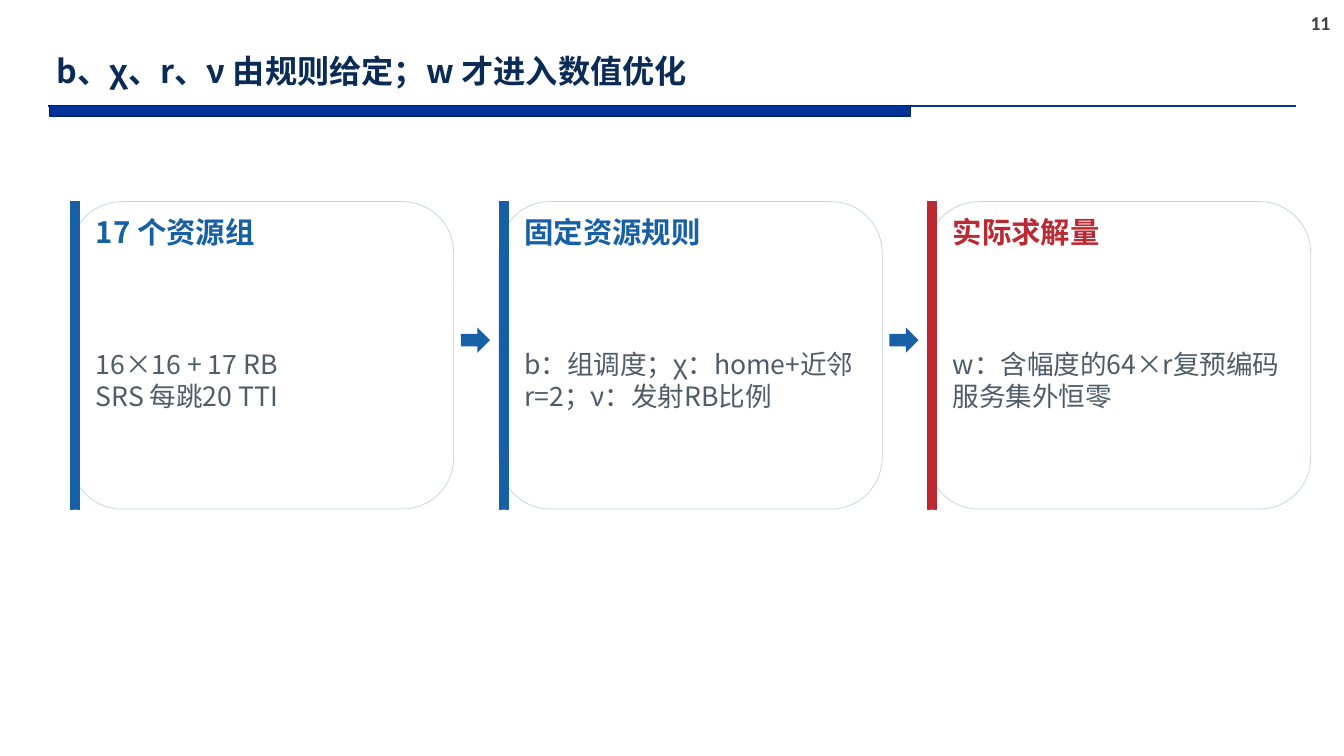
from lxml import etree
from pptx import Presentation
from pptx.dml.color import RGBColor
from pptx.enum.shapes import MSO_CONNECTOR, MSO_SHAPE
from pptx.enum.text import MSO_ANCHOR, PP_ALIGN
from pptx.oxml.ns import qn
from pptx.util import Inches, Pt

RECT, ROUNDED, ARROW = MSO_SHAPE.RECTANGLE, MSO_SHAPE.ROUNDED_RECTANGLE, MSO_SHAPE.RIGHT_ARROW
STRAIGHT = MSO_CONNECTOR.STRAIGHT
MIDDLE, TOP = MSO_ANCHOR.MIDDLE, MSO_ANCHOR.TOP
LEFT = PP_ALIGN.LEFT

WHITE = RGBColor(0xFF, 0xFF, 0xFF)
NAVY = RGBColor(0x09, 0x2B, 0x56)
RULE_BLUE = RGBColor(0x00, 0x33, 0x99)
RULE_EDGE = RGBColor(0x00, 0x26, 0x71)
BLUE = RGBColor(0x18, 0x60, 0xA6)
RED = RGBColor(0xBB, 0x2A, 0x33)
CARD_EDGE = RGBColor(0xC2, 0xD3, 0xE1)
BODY_GREY = RGBColor(0x4F, 0x5B, 0x69)
NUMBER_GREY = RGBColor(0x40, 0x40, 0x40)

CJK = "Noto Sans CJK SC"
TITLE = "b、χ、r、ν 由规则给定；w 才进入数值优化"
PAGE_NUMBER = "11"
CARDS = [
    ("17 个资源组", ["16×16 + 17 RB", "SRS 每跳20 TTI"], BLUE),
    ("固定资源规则", ["b：组调度；χ：home+近邻", "r=2；ν：发射RB比例"], BLUE),
    ("实际求解量", ["w：含幅度的64×r复预编码", "服务集外恒零"], RED),
]

TITLE_FORMAT = {"size": Pt(23), "bold": True, "name": CJK}
HEADING_FORMAT = {"size": Pt(21), "bold": True, "name": CJK}
BODY_FORMAT = {"size": Pt(19), "bold": False, "name": CJK}
NUMBER_FORMAT = {"size": Pt(14), "bold": True, "name": "Calibri"}

CARD_LEFT, CARD_TOP, CARD_WIDTH, CARD_HEIGHT = 0.7, 2, 3.8, 3.05
CARD_STEP = 4.25
STRIPE_WIDTH = 0.09
TEXT_INDENT = 0.2
ARROW_GAP, ARROW_TOP, ARROW_WIDTH, ARROW_HEIGHT = 0.07, 3.25, 0.29, 0.25


def box(*lengths):
    return [Inches(length) for length in lengths]


def add_block(slide, kind, place, fill, edge=None, weight=0.5):
    block = slide.shapes.add_shape(kind, *box(*place))
    block.shadow.inherit = False
    block.fill.solid()
    block.fill.fore_color.rgb = fill
    if edge is None:
        block.line.fill.background()
    else:
        block.line.color.rgb = edge
        block.line.width = Pt(weight)


def write(frame, lines, font_format, color, anchor=MIDDLE, inset=None, wrap=True):
    frame.word_wrap = wrap
    frame.vertical_anchor = anchor
    if inset is not None:
        for side in ("left", "right", "top", "bottom"):
            setattr(frame, f"margin_{side}", Inches(inset))
    for index, line in enumerate(lines):
        paragraph = frame.add_paragraph() if index else frame.paragraphs[0]
        paragraph.alignment = LEFT
        run = paragraph.add_run()
        run.text = line
        for attribute, value in font_format.items():
            setattr(run.font, attribute, value)
        run.font.color.rgb = color
        east_asian = etree.SubElement(run.font._element, qn("a:ea"))
        east_asian.set("typeface", font_format["name"])


def add_text(slide, place, *args, **kwargs):
    write(slide.shapes.add_textbox(*box(*place)).text_frame, *args, **kwargs)


def add_header(slide):
    rule = slide.shapes.add_connector(STRAIGHT, *box(0.48, 1.05, 12.85, 1.05))
    rule.line.color.rgb = RULE_BLUE
    rule.line.width = Pt(1.5)
    etree.SubElement(rule._element.spPr, qn("a:effectLst"))
    add_block(slide, RECT, (0.49, 1.05, 8.54, 0.1), RULE_BLUE, RULE_EDGE, 1)
    add_text(slide, (12.9, 0.06, 0.4, 0.34), [PAGE_NUMBER], NUMBER_FORMAT,
             NUMBER_GREY, anchor=TOP, wrap=False)

    title = slide.shapes.title
    title.left, title.top, title.width, title.height = box(0.46, 0.4, 9.45, 0.65)
    write(title.text_frame, [TITLE], TITLE_FORMAT, NAVY)
    title.text_frame.paragraphs[0].line_spacing = 0.9


def add_card(slide, left, heading, body, accent):
    add_block(slide, ROUNDED, (left, CARD_TOP, CARD_WIDTH, CARD_HEIGHT), WHITE, CARD_EDGE)
    add_block(slide, RECT, (left, CARD_TOP, STRIPE_WIDTH, CARD_HEIGHT), accent, accent)
    text_left = left + TEXT_INDENT
    add_text(slide, (text_left, CARD_TOP + 0.11, 3.46, 0.37), [heading],
             HEADING_FORMAT, accent, inset=0.05)
    add_text(slide, (text_left, CARD_TOP + 0.59, 3.45, 2.36), body,
             BODY_FORMAT, BODY_GREY, inset=0.05)


def main():
    deck = Presentation()
    deck.slide_width, deck.slide_height = box(13.33, 7.5)
    slide = deck.slides.add_slide(deck.slide_layouts[5])
    add_header(slide)
    for index, (heading, body, accent) in enumerate(CARDS):
        left = CARD_LEFT + index * CARD_STEP
        add_card(slide, left, heading, body, accent)
        if index < len(CARDS) - 1:
            arrow_left = left + CARD_WIDTH + ARROW_GAP
            add_block(slide, ARROW, (arrow_left, ARROW_TOP, ARROW_WIDTH, ARROW_HEIGHT), BLUE)
    deck.save("out.pptx")


if __name__ == "__main__":
    main()
